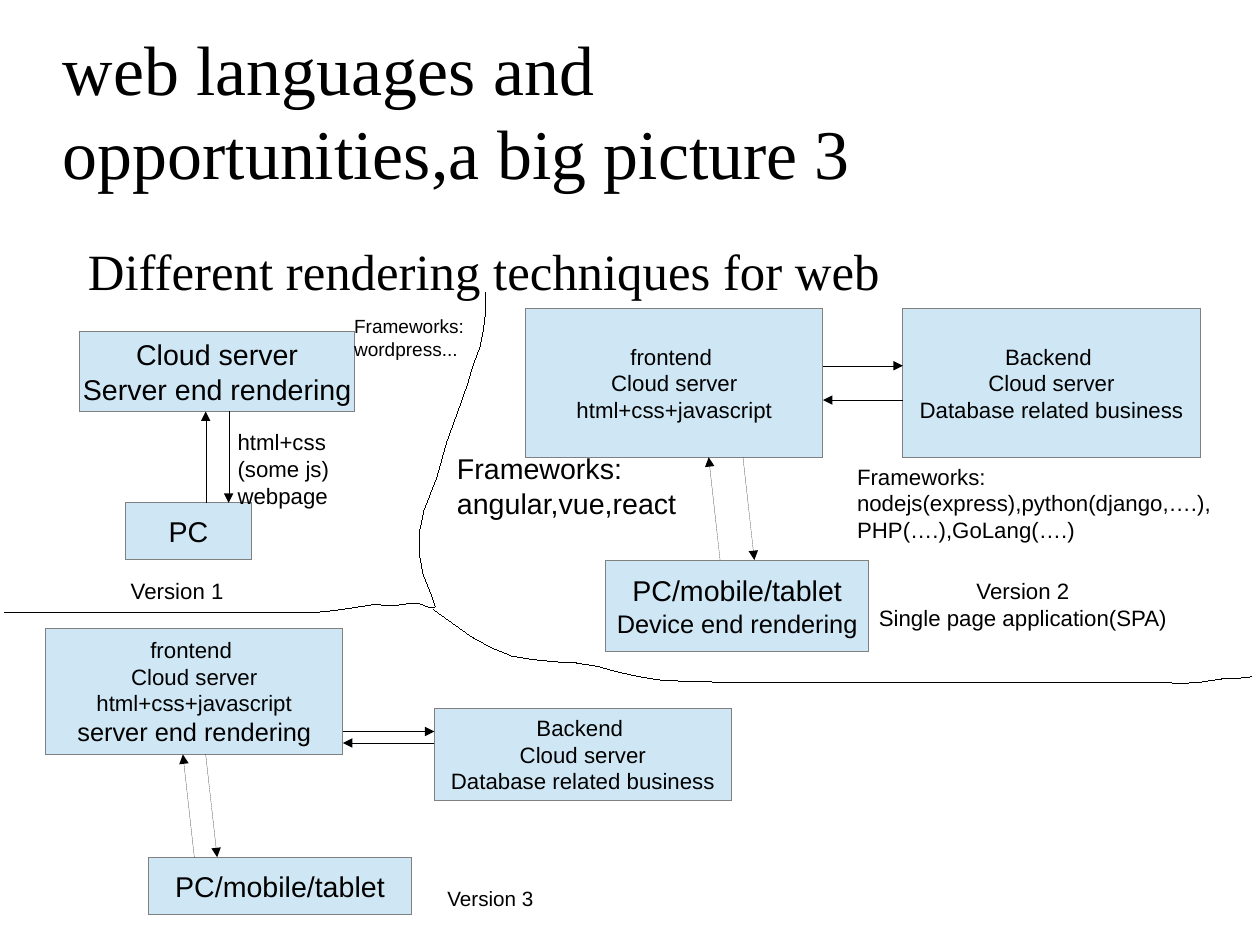
from lxml.etree import SubElement
from pptx import Presentation
from pptx.dml.color import RGBColor
from pptx.enum.shapes import MSO_CONNECTOR, MSO_SHAPE
from pptx.enum.text import MSO_ANCHOR, PP_ALIGN
from pptx.oxml.ns import qn
from pptx.util import Cm, Inches, Pt

BLACK = "000000"
BACKEND = [("Backend ", 14), ("Cloud server", 14), ("Database related business", 14)]
FRONTEND = [("frontend ", 14), ("Cloud server", 14), ("html+css+javascript", 14)]

LEFT_BORDER = [
    (0.04, 5.36), (2.55, 5.36), (2.75, 5.36), (2.94, 5.34), (3.27, 5.29),
    (3.45, 5.3), (3.58, 5.28), (3.67, 5.28), (3.77, 5.32), (3.81, 5.31),
    (3.77, 5.19), (3.7, 5.02), (3.67, 4.85), (3.67, 4.65), (3.71, 4.46),
    (3.82, 4.18), (3.91, 3.86), (4.03, 3.53), (4.09, 3.36), (4.14, 3.19),
    (4.2, 3.03), (4.23, 2.88), (4.25, 2.72), (4.25, 2.56),
]
RIGHT_BORDER = [
    (3.79, 5.33), (4.14, 5.58), (4.31, 5.67), (4.48, 5.74), (4.66, 5.77),
    (4.85, 5.79), (5.04, 5.8), (5.23, 5.83), (5.41, 5.88), (5.59, 5.92),
    (5.78, 5.95), (5.97, 5.96), (6.35, 5.97), (10.17, 5.97), (10.33, 5.98),
    (10.49, 5.97), (10.69, 5.94), (10.89, 5.93), (10.95, 5.92),
]


def color(value):
    return RGBColor.from_string(value)


def hairline(shape, value):
    shape._element.remove(shape._element.find(qn("p:style")))
    shape.line.color.rgb = color(value)
    shape.line.width = Pt(0)


def write(frame, lines, align, font="Arial"):
    for number, (text, size) in enumerate(lines):
        paragraph = frame.paragraphs[0] if number == 0 else frame.add_paragraph()
        paragraph.alignment = align
        run = paragraph.add_run()
        run.text = text
        run.font.size = Pt(size)
        run.font.name = font
        run.font.color.rgb = color(BLACK)


def node(slide, left, top, width, height, lines):
    box = slide.shapes.add_shape(
        MSO_SHAPE.RECTANGLE, Inches(left), Inches(top), Inches(width), Inches(height))
    box.shadow.inherit = False
    box.fill.solid()
    box.fill.fore_color.rgb = color("CFE7F5")
    hairline(box, "808080")
    box.text_frame.word_wrap = False
    box.text_frame.vertical_anchor = MSO_ANCHOR.MIDDLE
    write(box.text_frame, lines, PP_ALIGN.CENTER)


def label(slide, left, top, width, height, lines, align=PP_ALIGN.LEFT):
    box = slide.shapes.add_textbox(
        Inches(left), Inches(top), Inches(width), Inches(height))
    box.text_frame.word_wrap = True
    write(box.text_frame, lines, align)


def heading(slide, left, top, width, height, text, size, anchor):
    box = slide.shapes.add_textbox(
        Inches(left), Inches(top), Inches(width), Inches(height))
    frame = box.text_frame
    frame.word_wrap = True
    frame.vertical_anchor = anchor
    frame.margin_left = frame.margin_right = 0
    frame.margin_top = frame.margin_bottom = 0
    write(frame, [(text, size)], PP_ALIGN.LEFT, "Times New Roman")


def arrow(slide, x1, y1, x2, y2):
    link = slide.shapes.add_connector(
        MSO_CONNECTOR.STRAIGHT, Inches(x1), Inches(y1), Inches(x2), Inches(y2))
    hairline(link, BLACK)
    SubElement(link.line._get_or_add_ln(), qn("a:tailEnd"), type="triangle")
    SubElement(link._element.spPr, qn("a:effectLst"))


def vertical_pair(slide, up, down, top, bottom, slant):
    arrow(slide, up, bottom, up - slant, top)
    arrow(slide, down, top, down + slant, bottom)


def horizontal_pair(slide, left, right, upper, lower):
    arrow(slide, left, upper, right, upper)
    arrow(slide, right, lower, left, lower)


def border(slide, points):
    start, *rest = [(Inches(x), Inches(y)) for x, y in points]
    builder = slide.shapes.build_freeform(*start)
    builder.add_line_segments(rest, close=False)
    curve = builder.convert_to_shape()
    curve.shadow.inherit = False
    curve.fill.background()
    hairline(curve, BLACK)


def version_1(slide, x, y):
    node(slide, x + 0.4, y + 1.7, 1.1, 0.5, [("PC", 18)])
    node(slide, x, y + 0.2, 2.4, 0.7,
         [("Cloud server", 18), ("Server end rendering", 18)])
    vertical_pair(slide, x + 1.1, x + 1.3, y + 0.9, y + 1.7, 0)
    label(slide, x + 1.28, y + 1, 1.03, 0.75,
          [("html+css(some js)", 14), ("webpage", 14)])
    label(slide, x + 2.3, y, 1.2, 0.47, [("Frameworks: wordpress...", 12)])
    label(slide, x + 0.2, y + 2.3, 1.3, 0.38, [("Version 1", 14)], PP_ALIGN.CENTER)


def version_2(slide, x, y):
    node(slide, x + 0.7, y + 2.2, 2.3, 0.8,
         [("PC/mobile/tablet", 18), ("Device end rendering", 16)])
    node(slide, x + 3.3, y, 2.6, 1.3, BACKEND)
    node(slide, x, y, 2.6, 1.3, FRONTEND)
    vertical_pair(slide, x + 1.7, x + 1.9, y + 1.3, y + 2.2, 0.1)
    horizontal_pair(slide, x + 2.6, x + 3.3, y + 0.5, y + 0.8)
    label(slide, x - 0.7, y + 1.2, 2.4, 0.66, [("Frameworks: angular,vue,react", 18)])
    label(slide, x + 2.8, y + 1.3, 3.3, 0.75,
          [("Frameworks: nodejs(express),python(django,….),PHP(….),GoLang(….)", 14)])
    label(slide, x + 2.9, y + 2.3, 2.9, 0.78,
          [("Version 2", 14), ("Single page application(SPA)", 14)], PP_ALIGN.CENTER)


def version_3(slide, x, y):
    node(slide, x + 0.9, y + 2, 2.3, 0.5, [("PC/mobile/tablet", 18)])
    node(slide, x + 3.4, y + 0.7, 2.6, 0.8, BACKEND)
    node(slide, x, y, 2.6, 1.1, FRONTEND + [("server end rendering", 16)])
    vertical_pair(slide, x + 1.3, x + 1.4, y + 1.1, y + 2, 0.1)
    horizontal_pair(slide, x + 2.6, x + 3.4, y + 0.9, y + 1)
    label(slide, x + 3.29, y + 2.2, 1.2, 0.3, [("Version 3", 13)], PP_ALIGN.CENTER)


def main():
    deck = Presentation()
    deck.slide_width = Cm(28)
    deck.slide_height = Cm(21)
    slide = deck.slides.add_slide(deck.slide_layouts[6])
    heading(slide, 0.55, 0.28, 8.43, 1.35,
            "web languages and opportunities,a big picture 3", 44, MSO_ANCHOR.MIDDLE)
    heading(slide, 0.77, 2.1, 9.83, 0.5,
            "Different rendering techniques for web", 32, MSO_ANCHOR.TOP)
    version_1(slide, 0.7, 2.7)
    version_2(slide, 4.6, 2.7)
    version_3(slide, 0.4, 5.5)
    border(slide, LEFT_BORDER)
    border(slide, RIGHT_BORDER)
    deck.save("out.pptx")


if __name__ == "__main__":
    main()
